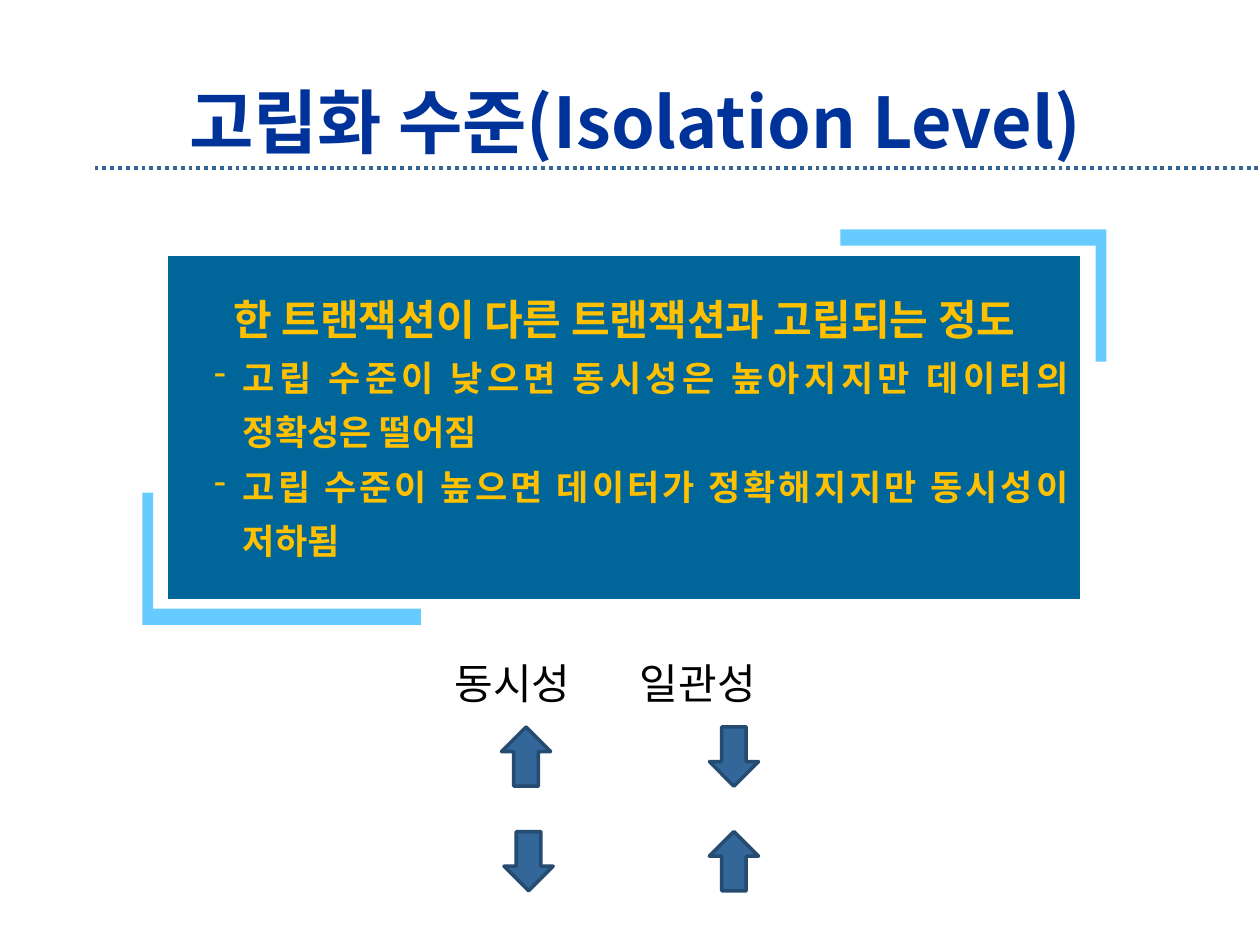
"""Build the slide on transaction isolation levels."""
from typing import Any, NamedTuple

import lxml.etree
import pptx
import pptx.dml.color
import pptx.enum.dml
import pptx.enum.shapes
import pptx.enum.text
import pptx.oxml.ns
import pptx.util

FONT = "Noto Sans CJK KR"
COLORS = {
    "title": "003399", "rule": "336699", "bracket": "66CCFF", "panel": "006699",
    "panel_edge": "FFFFFF", "panel_text": "FFC000", "label": "000000",
    "arrow": "336699", "arrow_edge": "264B71",
}
COLUMNS, ROWS = 100, 75
SLIDE_WIDTH, SLIDE_HEIGHT = pptx.util.Inches(10), pptx.util.Inches(7.5)
SHAPE = pptx.enum.shapes.MSO_SHAPE
ALIGN = pptx.enum.text.PP_ALIGN
MIDDLE = pptx.enum.text.MSO_ANCHOR.MIDDLE


class Area(NamedTuple):
    """A rectangle in grid columns and rows."""
    column: float
    row: float
    columns: float
    rows: float


class Bracket(NamedTuple):
    """An L-shaped corner: its outer corner and signed arm lengths."""
    column: float
    row: float
    across: float
    up: float


class Arrow(NamedTuple):
    """A block arrow placed on the grid."""
    kind: Any
    column: float
    row: float


class Line(NamedTuple):
    """A line of panel text with its paragraph format."""
    text: str
    size: int
    dashed: bool
    layout: dict


HEADING = {"alignment": ALIGN.CENTER}
POINT = {"alignment": ALIGN.JUSTIFY, "level": 1, "line_spacing": pptx.util.Pt(31)}
PANEL_LINES = [
    Line("한 트랜잭션이 다른 트랜잭션과 고립되는 정도", 24, False, HEADING),
    Line("고립 수준이 낮으면 동시성은 높아지지만 데이터의 정확성은 떨어짐", 20, True, POINT),
    Line("고립 수준이 높으면 데이터가 정확해지지만 동시성이 저하됨", 20, True, POINT),
]
BRACKETS = [Bracket(11.3, 49.6, 22.1, -10.5), Bracket(87.8, 18.2, -21.1, 10.5)]
ARROWS = [
    Arrow(SHAPE.UP_ARROW, 39.8, 57.7), Arrow(SHAPE.DOWN_ARROW, 56.3, 57.7),
    Arrow(SHAPE.DOWN_ARROW, 40, 66), Arrow(SHAPE.UP_ARROW, 56.3, 66),
]


def across(columns: float) -> int:
    """Turn grid columns into a length."""
    return round(SLIDE_WIDTH * columns / COLUMNS)


def down(rows: float) -> int:
    """Turn grid rows into a length."""
    return round(SLIDE_HEIGHT * rows / ROWS)


def box(area: Area) -> tuple[int, int, int, int]:
    """Turn a grid area into left, top, width and height."""
    return across(area.column), down(area.row), across(area.columns), down(area.rows)


def color(name: str) -> pptx.dml.color.RGBColor:
    """Look up a named colour."""
    return pptx.dml.color.RGBColor.from_string(COLORS[name])


def assign(target: Any, values: dict) -> None:
    """Set attributes from a dict of format values."""
    for name, value in values.items():
        setattr(target, name, value)


def add_element(parent: Any, tag: str, **attributes: str) -> Any:
    """Append a DrawingML element."""
    return lxml.etree.SubElement(parent, pptx.oxml.ns.qn(tag), attributes)


def write(paragraph: Any, text: str, size: int, color_name: str, bold: bool) -> None:
    """Add one formatted run, with the font for both Latin and Korean."""
    run = paragraph.add_run()
    run.text = text
    assign(run.font, {"name": FONT, "size": pptx.util.Pt(size), "bold": bold})
    run.font.color.rgb = color(color_name)
    add_element(run.font._element, "a:ea", typeface=FONT)


def paint(shape: Any, fill: str, edge: str | None = None, width: float = 0) -> None:
    """Give a shape a flat fill and an optional outline."""
    shape.shadow.inherit = False
    shape.fill.solid()
    shape.fill.fore_color.rgb = color(fill)
    if edge is None:
        shape.line.fill.background()
        return
    shape.line.color.rgb = color(edge)
    shape.line.width = pptx.util.Pt(width)


def draw_title(slide: Any) -> None:
    """Fill the title and draw the dotted rule below it."""
    title = slide.shapes.title
    assign(title, dict(zip(("left", "top", "width", "height"), box(Area(7.5, 6.7, 85.8, 5.8)))))
    assign(title.text_frame, {"vertical_anchor": MIDDLE, "word_wrap": True})
    heading = title.text_frame.paragraphs[0]
    heading.alignment = ALIGN.CENTER
    write(heading, "고립화 수준(Isolation Level)", 40, "title", True)
    rule = slide.shapes.add_connector(
        pptx.enum.shapes.MSO_CONNECTOR.STRAIGHT, across(7.5), down(13.3), across(COLUMNS), down(13.3))
    rule.line.color.rgb = color("rule")
    assign(rule.line, {"width": pptx.util.Pt(2.25),
                       "dash_style": pptx.enum.dml.MSO_LINE.ROUND_DOT})
    add_element(rule._element.spPr, "a:effectLst")


def draw_bracket(slide: Any, bracket: Bracket) -> None:
    """Draw an L-shaped corner around the panel."""
    x, y, arm, rise = bracket
    thick_x = 0.85 if arm > 0 else -0.85
    thick_y = 1.3 if rise > 0 else -1.3
    corners = [(x, y), (x + arm, y), (x + arm, y + thick_y), (x + thick_x, y + thick_y),
               (x + thick_x, y + rise), (x, y + rise)]
    points = [(across(column), down(row)) for column, row in corners]
    outline = slide.shapes.build_freeform(*points[0])
    outline.add_line_segments(points[1:], close=True)
    paint(outline.convert_to_shape(), "bracket")


def draw_panel(slide: Any) -> None:
    """Draw the definition panel and its text."""
    panel = slide.shapes.add_shape(SHAPE.RECTANGLE, *box(Area(13.3, 20.3, 72.5, 27.3)))
    paint(panel, "panel", "panel_edge", 0.75)
    frame = panel.text_frame
    assign(frame, {"vertical_anchor": MIDDLE, "word_wrap": True})
    for index, line in enumerate(PANEL_LINES):
        paragraph = frame.add_paragraph() if index else frame.paragraphs[0]
        if line.dashed:
            properties = paragraph._p.get_or_add_pPr()
            properties.set("marL", str(across(5)))
            properties.set("indent", str(-across(2.3)))
            add_element(properties, "a:buFontTx")
            add_element(properties, "a:buChar", char="-")
        assign(paragraph, line.layout)
        write(paragraph, line.text, line.size, "panel_text", True)


def draw_labels(slide: Any) -> None:
    """Write the two arrow headings, parted by a tab stop."""
    frame = slide.shapes.add_textbox(*box(Area(35.1, 51.7, 28.9, 5))).text_frame
    frame.word_wrap = True
    paragraph = frame.paragraphs[0]
    stops = add_element(paragraph._p.get_or_add_pPr(), "a:tabLst")
    add_element(stops, "a:tab", pos=str(across(14.7)), algn="l")
    write(paragraph, "동시성\t일관성", 24, "label", False)


def draw_arrow(slide: Any, arrow: Arrow) -> None:
    """Draw one block arrow."""
    shape = slide.shapes.add_shape(arrow.kind, *box(Area(arrow.column, arrow.row, 3.9, 4.7)))
    paint(shape, "arrow", "arrow_edge", 2)


def main() -> None:
    """Build and save the slide."""
    deck = pptx.Presentation()
    assign(deck, {"slide_width": SLIDE_WIDTH, "slide_height": SLIDE_HEIGHT})
    slide = deck.slides.add_slide(deck.slide_layouts.get_by_name("Title Only"))
    draw_title(slide)
    for bracket in BRACKETS:
        draw_bracket(slide, bracket)
    draw_panel(slide)
    draw_labels(slide)
    for arrow in ARROWS:
        draw_arrow(slide, arrow)
    deck.save("out.pptx")


if __name__ == "__main__":
    main()
